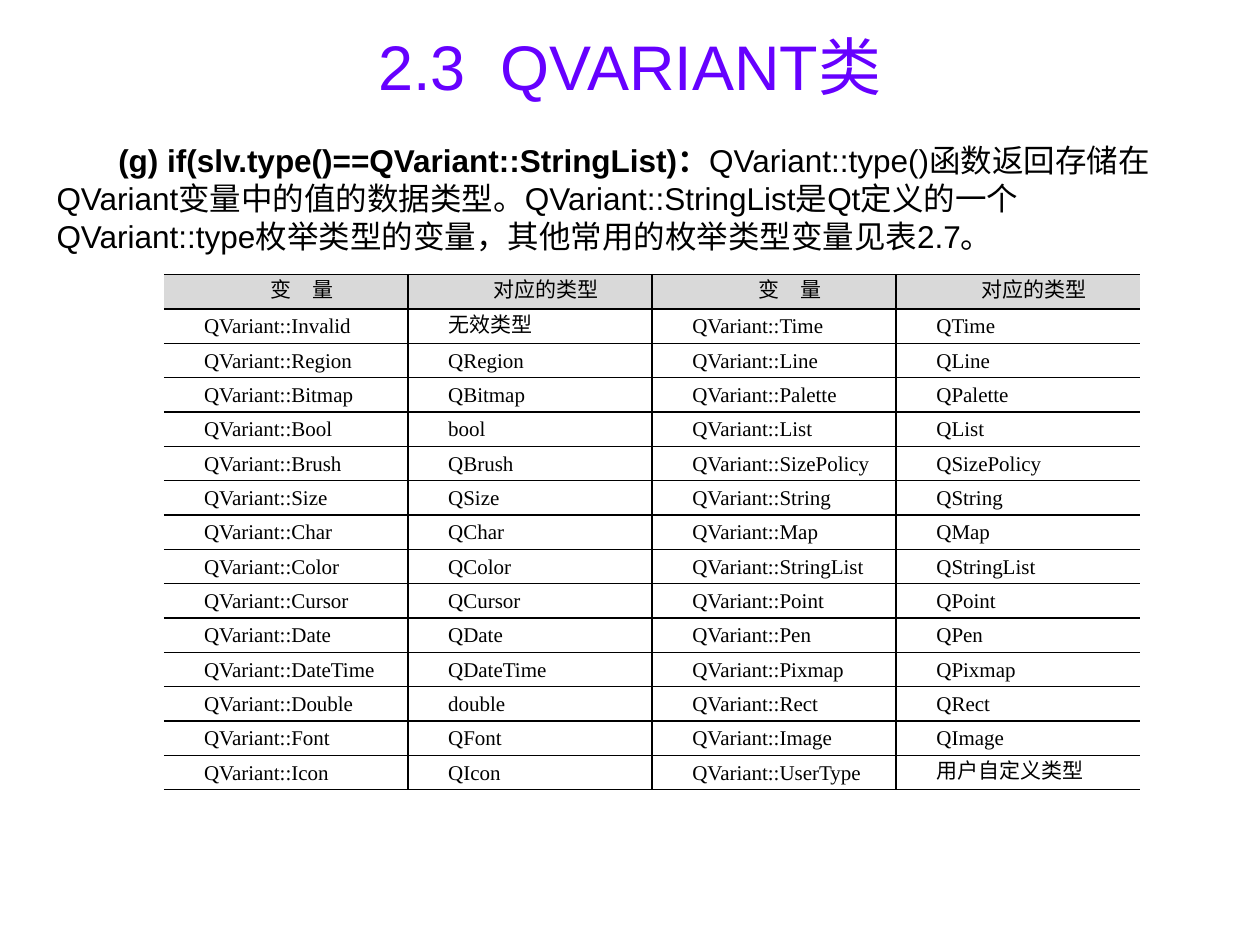
from lxml.etree import SubElement
from pptx import Presentation
from pptx.dml.color import RGBColor
from pptx.enum.text import MSO_ANCHOR as Anchor, MSO_AUTO_SIZE as AutoSize, PP_ALIGN as Align
from pptx.oxml.ns import qn
from pptx.util import Inches, Pt

SLIDE_WIDTH, SLIDE_HEIGHT = 10, 7.5
BLACK, VIOLET, GREY = "000000", "6600FF", "D9D9D9"
SANS, SERIF = "Arial", "Times New Roman"

HEADINGS = ["变\u3000量", "对应的类型"] * 2
TYPES = [
    ("Invalid", "无效类型", "Time", "QTime"),
    ("Region", "QRegion", "Line", "QLine"),
    ("Bitmap", "QBitmap", "Palette", "QPalette"),
    ("Bool", "bool", "List", "QList"),
    ("Brush", "QBrush", "SizePolicy", "QSizePolicy"),
    ("Size", "QSize", "String", "QString"),
    ("Char", "QChar", "Map", "QMap"),
    ("Color", "QColor", "StringList", "QStringList"),
    ("Cursor", "QCursor", "Point", "QPoint"),
    ("Date", "QDate", "Pen", "QPen"),
    ("DateTime", "QDateTime", "Pixmap", "QPixmap"),
    ("Double", "double", "Rect", "QRect"),
    ("Font", "QFont", "Image", "QImage"),
    ("Icon", "QIcon", "UserType", "用户自定义类型"),
]


def color(value):
    """Turn a hex string into a colour."""
    return RGBColor.from_string(value)


def add_run(paragraph, text, size, font=SANS, fill=BLACK, bold=False):
    """Append one formatted run to a paragraph."""
    run = paragraph.add_run()
    run.text = text
    run.font.size, run.font.name, run.font.bold = Pt(size), font, bold
    run.font.color.rgb = color(fill)


def indent_first_line(paragraph, length):
    """Indent only the first line of a paragraph."""
    properties = paragraph._p.get_or_add_pPr()
    properties.set("marL", "0")
    properties.set("indent", str(Inches(length)))


def set_border(cell, side, width):
    """Draw one side of a cell; a width of zero hides it."""
    line = SubElement(cell._tc.get_or_add_tcPr(), qn(f"a:ln{side}"), w=str(Pt(width)))
    if width:
        fill = SubElement(line, qn("a:solidFill"))
        SubElement(fill, qn("a:srgbClr"), val=BLACK)
    else:
        SubElement(line, qn("a:noFill"))


def fill_title(slide, box):
    """Place and fill the slide title."""
    title = slide.shapes.title
    title.left, title.top, title.width, title.height = map(Inches, box)
    title.text_frame.vertical_anchor = Anchor.MIDDLE
    paragraph = title.text_frame.paragraphs[0]
    paragraph.alignment = Align.CENTER
    add_run(paragraph, "2.3  QVARIANT类", 36, fill=VIOLET)


def add_explanation(slide, box):
    """Add the paragraph above the table."""
    frame = slide.shapes.add_textbox(*map(Inches, box)).text_frame
    frame.word_wrap = True
    frame.auto_size = AutoSize.SHAPE_TO_FIT_TEXT
    paragraph = frame.paragraphs[0]
    indent_first_line(paragraph, 0.49)
    add_run(paragraph, "(g) if(slv.type()==QVariant::StringList)：", 18, bold=True)
    add_run(paragraph, "QVariant::type()函数返回存储在QVariant变量中的值的数据类型。"
            "QVariant::StringList是Qt定义的一个QVariant::type枚举类型的变量，"
            "其他常用的枚举类型变量见表2.7。", 18)


def format_cell(cell, text, is_heading, borders):
    """Write one table cell with its fill and borders."""
    cell.vertical_anchor = Anchor.MIDDLE
    cell.margin_left = cell.margin_right = Inches(0.07)
    cell.margin_top = cell.margin_bottom = 0
    for side, width in borders.items():
        set_border(cell, side, width)
    if is_heading:
        cell.fill.solid()
        cell.fill.fore_color.rgb = color(GREY)
    else:
        cell.fill.background()
    paragraph = cell.text_frame.paragraphs[0]
    paragraph.alignment = Align.CENTER if is_heading else Align.JUSTIFY
    paragraph.line_spacing = Pt(14)
    indent_first_line(paragraph, 0.25)
    add_run(paragraph, text, 12, SANS if is_heading else SERIF)


def add_type_table(slide, box):
    """Add the table of variables and types, open at its left and right."""
    entries = [HEADINGS] + [
        [f"QVariant::{name}" if column % 2 == 0 else name for column, name in enumerate(row)]
        for row in TYPES]
    rows, columns = len(entries), len(HEADINGS)
    table = slide.shapes.add_table(rows, columns, *map(Inches, box)).table
    table.first_row = table.horz_banding = False
    for column in table.columns:
        column.width = Inches(box[2] / columns)
    for row in table.rows:
        row.height = Inches(box[3] / rows)
    verticals = [0, 1, 1.5, 1, 0]
    for row, texts in enumerate(entries):
        for column, text in enumerate(texts):
            borders = {"L": verticals[column], "R": verticals[column + 1], "T": 1, "B": 1}
            format_cell(table.cell(row, column), text, row == 0, borders)


def build():
    """Build the presentation and save it."""
    presentation = Presentation()
    presentation.slide_width = Inches(SLIDE_WIDTH)
    presentation.slide_height = Inches(SLIDE_HEIGHT)
    slide = presentation.slides.add_slide(presentation.slide_layouts[5])
    fill_title(slide, (0.33, 0.05, 9.34, 0.94))
    add_explanation(slide, (0.35, 1.07, 9.29, 1.31))
    add_type_table(slide, (1.3, 2.18, 7.75, 4.09))
    presentation.save("out.pptx")


build()
